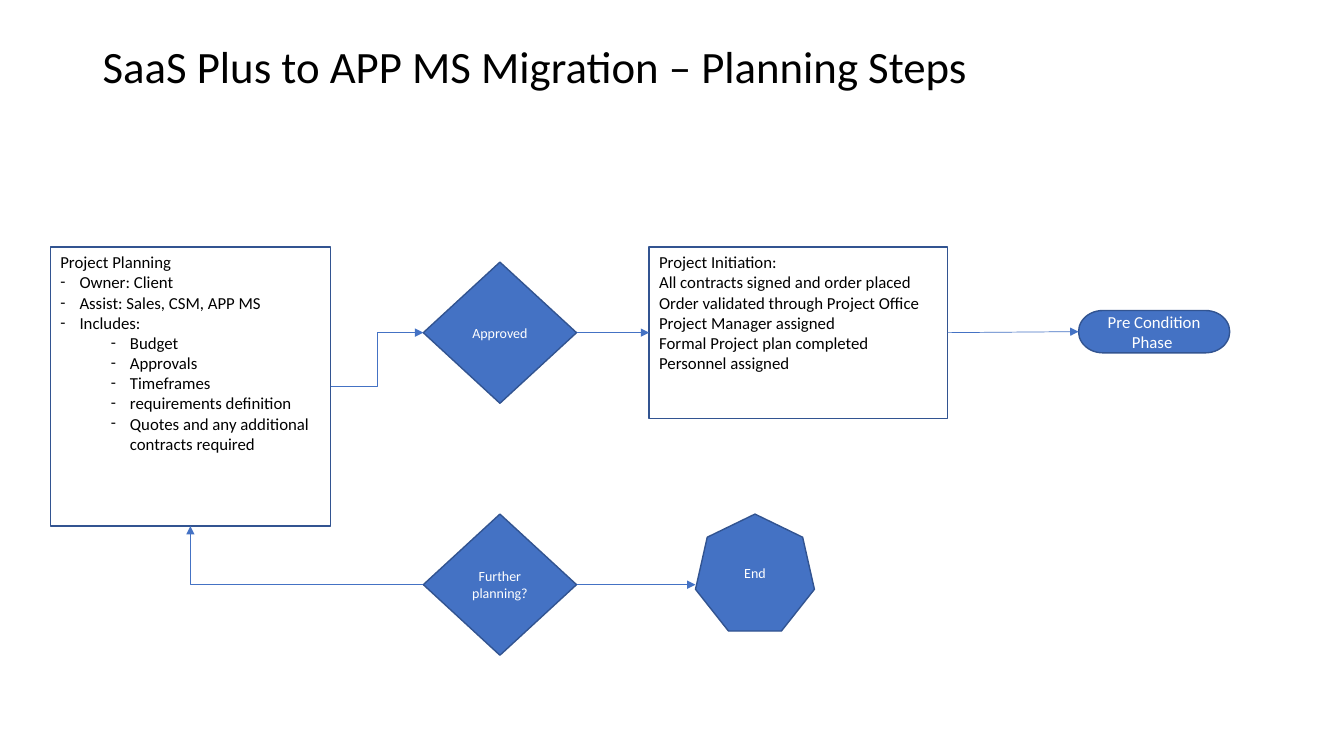
from lxml.etree import SubElement
from pptx import Presentation
from pptx.dml.color import RGBColor
from pptx.enum.shapes import MSO_CONNECTOR, MSO_SHAPE
from pptx.enum.text import MSO_ANCHOR, PP_ALIGN
from pptx.oxml.ns import qn
from pptx.util import Inches, Pt

BLUE = RGBColor(0x44, 0x72, 0xC4)
NAVY = RGBColor(0x32, 0x54, 0x91)
BLACK = RGBColor(0, 0, 0)
WHITE = RGBColor(0xFF, 0xFF, 0xFF)
TOP, LEFT, BOTTOM, RIGHT = range(4)

deck = Presentation()
deck.slide_width, deck.slide_height = Inches(13.33), Inches(7.5)
COL, ROW = deck.slide_width / 100, deck.slide_height / 100
slide = deck.slides.add_slide(deck.slide_layouts[6])


def place(x, y, width, height):
    return int(x * COL), int(y * ROW), int(width * COL), int(height * ROW)


def write(paragraph, text, size, color):
    run = paragraph.add_run()
    run.text = text
    run.font.name = "Calibri"
    run.font.size = Pt(size)
    run.font.color.rgb = color


heading = slide.shapes.add_textbox(*place(6.9, 5.33, 86.25, 7.47)).text_frame
heading.word_wrap = True
heading.vertical_anchor = MSO_ANCHOR.MIDDLE
heading.paragraphs[0].line_spacing = 0.9
write(heading.paragraphs[0], "SaaS Plus to APP MS Migration – Planning Steps", 32, BLACK)

PLANNING_LINES = [
    (None, "Project Planning"),
    (0, "Owner: Client"),
    (0, "Assist: Sales, CSM, APP MS "),
    (0, "Includes:"),
    (1, "Budget"),
    (1, "Approvals"),
    (1, "Timeframes"),
    (1, "requirements definition"),
    (1, "Quotes and any additional contracts required"),
]
INITIATION_LINES = [
    (None, "Project Initiation:"),
    (None, "All contracts signed and order placed"),
    (None, "Order validated through Project Office"),
    (None, "Project Manager assigned"),
    (None, "Formal Project plan completed"),
    (None, "Personnel assigned"),
]
UPPER, LOWER = 32.67, 68
DECISION_X, DECISION_SIZE = 31.5, (11.4, 18.67)
STEPS = [
    (MSO_SHAPE.RECTANGLE, (3.75, UPPER, 20.85, 36.93), 12, PLANNING_LINES),
    (MSO_SHAPE.RECTANGLE, (48.3, UPPER, 22.2, 22.67), 12, INITIATION_LINES),
    (MSO_SHAPE.DIAMOND, (DECISION_X, UPPER + 2, *DECISION_SIZE), 10, [(None, "Approved")]),
    (MSO_SHAPE.DIAMOND, (DECISION_X, LOWER, *DECISION_SIZE), 10, [(None, "Further planning?")]),
    (MSO_SHAPE.HEPTAGON, (51.75, LOWER, 8.85, 15.47), 10, [(None, "End")]),
    (MSO_SHAPE.FLOWCHART_TERMINATOR, (80.25, 41.07, 11.25, 5.6), 12,
     [(None, "Pre Condition Phase ")]),
]
steps = []
for kind, area, size, lines in STEPS:
    step = slide.shapes.add_shape(kind, *place(*area))
    steps.append(step)
    listing = kind == MSO_SHAPE.RECTANGLE
    step.shadow.inherit = False
    step.fill.solid()
    step.fill.fore_color.rgb = WHITE if listing else BLUE
    step.line.color.rgb = NAVY
    step.line.width = Pt(1)
    frame = step.text_frame
    frame.word_wrap = True
    frame.vertical_anchor = MSO_ANCHOR.TOP if listing else MSO_ANCHOR.MIDDLE
    for index, (level, text) in enumerate(lines):
        paragraph = frame.add_paragraph() if index else frame.paragraphs[0]
        paragraph.alignment = PP_ALIGN.LEFT if listing else PP_ALIGN.CENTER
        write(paragraph, text, size, BLACK if listing else WHITE)
        if level is not None:
            paragraph.level = level
            properties = paragraph._p.get_or_add_pPr()
            properties.set("marL", str(Inches(0.19 + 0.5 * level)))
            properties.set("indent", str(-Inches(0.19)))
            SubElement(properties, qn("a:buFont"), typeface="Calibri")
            SubElement(properties, qn("a:buChar"), char="-")

planning, initiation, approved, further, end, precondition = steps
further_middle = further.top + further.height // 2
FLOWS = [
    (planning, RIGHT, approved, LEFT, "bentConnector3"),
    (approved, RIGHT, initiation, LEFT, "line"),
    (initiation, RIGHT, precondition, LEFT, "line"),
    (further, LEFT, planning, BOTTOM, "bentConnector2"),
    (further, RIGHT, end, None, "line"),
]
for source, exit_side, target, entry_side, route in FLOWS:
    flow = slide.shapes.add_connector(
        MSO_CONNECTOR.STRAIGHT, 0, 0, end.left, further_middle)
    flow.begin_connect(source, exit_side)
    if entry_side is not None:
        flow.end_connect(target, entry_side)
    flow.line.color.rgb = BLUE
    flow.line.width = Pt(0.5)
    properties = flow._element.spPr
    properties.find(qn("a:prstGeom")).set("prst", route)
    SubElement(properties.find(qn("a:ln")), qn("a:tailEnd"), type="triangle")
    SubElement(properties, qn("a:effectLst"))

deck.save("out.pptx")
